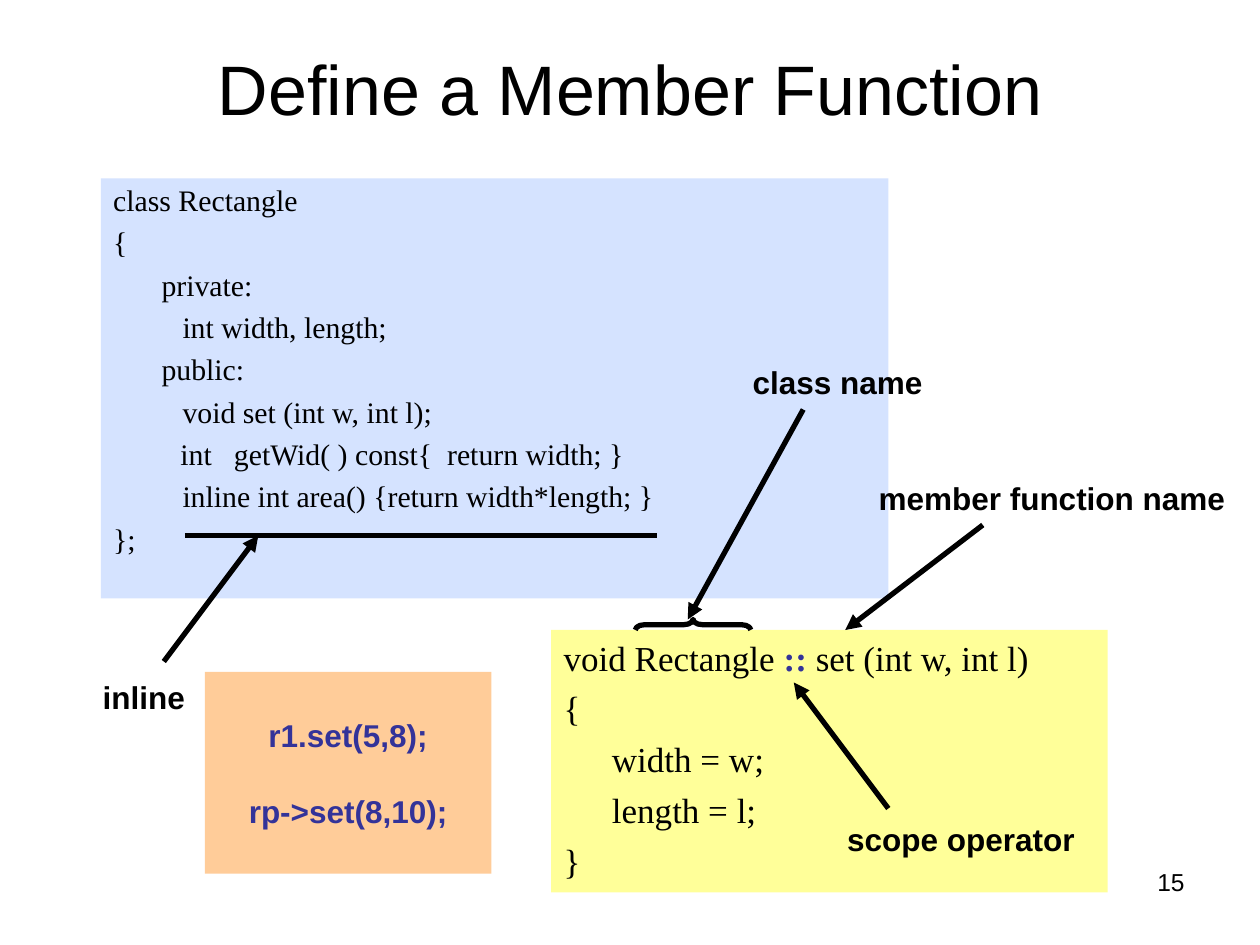
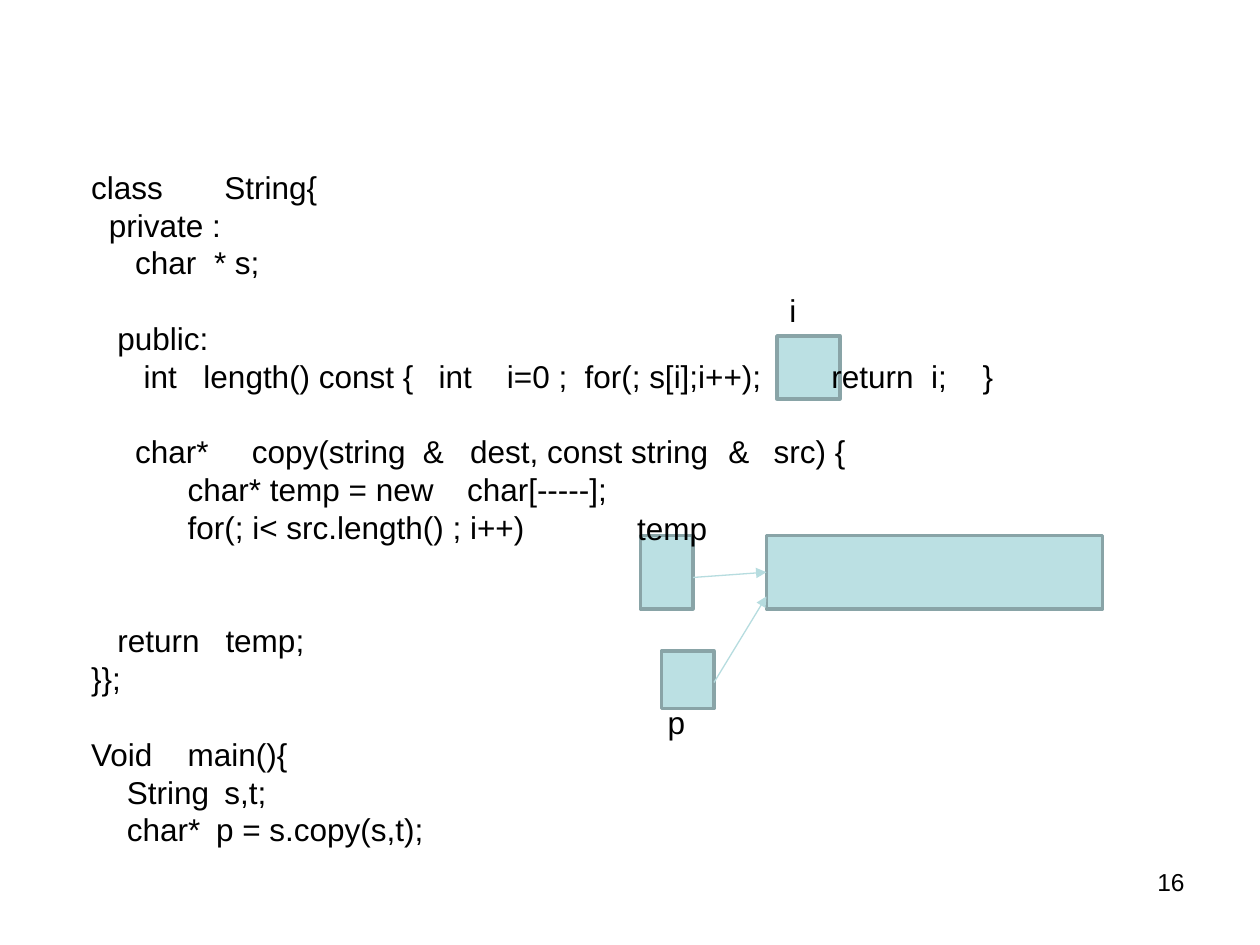
from pptx import Presentation
from pptx.dml.color import RGBColor
from pptx.enum.shapes import MSO_CONNECTOR as Connector, MSO_SHAPE as Shape
from pptx.enum.text import MSO_ANCHOR as Anchor, PP_ALIGN as Align
from pptx.oxml.ns import qn
from pptx.util import Inches, Pt
from lxml.etree import SubElement

# Shared look: a grid of 120 columns by 90 rows, colours and text formats
COLUMNS, ROWS = 120, 90
BLACK, INDIGO = "000000", "333399"
BLUE, YELLOW, ORANGE = "D5E3FF", "FFFF99", "FFCC99"
TEAL, TEAL_EDGE, TEAL_ARROW = "BBE0E3", "89A4A7", "B6DCDF"
color = RGBColor.from_string
LABEL = dict(name="Arial", size=Pt(18), bold=True)
PLAIN = dict(name="Arial", size=Pt(18), bold=False)
NUMBER = dict(name="Arial", size=Pt(14), bold=False)
TITLE = dict(name="Arial", size=Pt(40), bold=False)

presentation = Presentation()
presentation.slide_width, presentation.slide_height = Inches(10), Inches(7.5)
cell_width = presentation.slide_width / COLUMNS
cell_height = presentation.slide_height / ROWS


def grid(*cells):
    """Turn alternating columns and rows into lengths."""
    return [round(cell * (cell_height if index % 2 else cell_width))
            for index, cell in enumerate(cells)]


def write(shape, lines, font, ink=BLACK, align=Align.LEFT, spacing=None,
          before=0, anchor=Anchor.TOP):
    """Write lines of (text, tab stops in columns, blank lines above)."""
    frame = shape.text_frame
    frame.word_wrap = True
    frame.vertical_anchor = anchor
    line_height = spacing or Pt(font["size"].pt * 1.2)
    for index, (text, stops, blanks) in enumerate(lines):
        paragraph = frame.paragraphs[0] if index == 0 else frame.add_paragraph()
        formats = dict(alignment=align, line_spacing=line_height,
                       space_before=Pt(before + blanks * font["size"].pt * 1.2))
        for name, value in formats.items():
            setattr(paragraph, name, value)
        if stops:
            tabs = SubElement(paragraph._p.get_or_add_pPr(), qn("a:tabLst"))
            for stop in stops:
                SubElement(tabs, qn("a:tab"), pos=str(round(stop * cell_width)), algn="l")
        # The scope operator stands out from the code around it
        for part in filter(None, text.partition("::")):
            run = paragraph.add_run()
            run.text = part
            for name, value in font.items():
                setattr(run.font, name, value)
            run.font.color.rgb = color(ink)
            if part == "::":
                run.font.bold = True
                run.font.color.rgb = color(INDIGO)


# Code listings
class_code = [
    ("class Rectangle", [], 0),
    ("{", [], 0),
    ("\tprivate:", [4.6], 0),
    ("\tint width, length;", [6.6], 0),
    ("\tpublic:", [4.6], 0),
    ("\tvoid set (int w, int l);", [6.6], 0),
    ("\tint\tgetWid( ) const{\treturn width; }", [6.4, 11.5, 31.8], 0),
    ("\tinline int area() {return width*length; }", [6.6], 0),
    ("};", [], 0),
]
member_code = [
    ("void Rectangle :: set (int w, int l)", [], 0),
    ("{", [], 0),
    ("\twidth = w;", [4.6], 0),
    ("\tlength = l;", [4.6], 0),
    ("}", [], 0),
]
call_code = [("r1.set(5,8);", [], 0), ("rp->set(8,10);", [], 1)]
string_code = [
    ("class\tString{", [12.7], 0),
    ("\tprivate :", [1.7], 0),
    ("\tchar\t* s;", [4.2, 11.7], 0),
    ("\tpublic:", [2.5], 1),
    ("\tint\tlength() const {\tint\ti=0 ;\tfor(; s[i];i++);\treturn\ti;\t}",
     [5, 10.7, 33.1, 39.6, 47, 70.5, 80, 84.9], 0),
    ("\tchar*\tcopy(string\t&\tdest, const string\t&\tsrc) {",
     [4.2, 15.3, 31.6, 36.1, 60.7, 65], 1),
    ("\tchar* temp = new\tchar[-----];", [9.2, 35.8], 0),
    ("\tfor(; i< src.length() ; i++)", [9.2], 0),
    ("\treturn\ttemp;", [2.5, 12.8], 2),
    ("}};", [], 0),
    ("Void\tmain(){", [9.2], 1),
    ("\tString\ts,t;", [3.4, 12.7], 0),
    ("\tchar*\tp = s.copy(s,t);", [3.4, 11.9], 0),
]
code_font = dict(name="Times New Roman", bold=False)

# What each slide holds: boxes, lines (start, end, arrowhead) and labels
member_slide = dict(
    layout=5, number="15", label_font=LABEL, line=(BLACK, 3),
    boxes=[
        (BLUE, None, (9.6, 17, 75, 40), class_code,
         dict(font=dict(code_font, size=Pt(17)), spacing=0.94, before=5)),
        (YELLOW, None, (52.5, 60, 53, 25), member_code,
         dict(font=dict(code_font, size=Pt(20)), before=5)),
        (ORANGE, None, (19.5, 64, 27.3, 19.2), call_code,
         dict(font=LABEL, ink=INDIGO, align=Align.CENTER, anchor=Anchor.MIDDLE)),
    ],
    lines=[
        (15.6, 63, 24.6, 51, True),
        (17.6, 51, 62.6, 51, False),
        (76.5, 39, 65.5, 59, True),
        (93.6, 50, 80.5, 60, True),
        (84.6, 77, 75.6, 65, True),
    ],
    labels=[
        ("inline", 8.6, 64, 11),
        ("class name", 70.5, 34, 20),
        ("member function name", 82.5, 45, 37),
        ("scope operator", 79.5, 77.5, 26),
    ],
)
string_slide = dict(
    layout=6, number="16", label_font=PLAIN, line=(TEAL_ARROW, 0.75),
    boxes=[(TEAL, TEAL_EDGE, cells, [], {}) for cells in [
        (74, 32, 6, 6), (73, 51, 32, 7), (61, 51, 5, 7), (63, 62, 5, 5.5)]],
    lines=[(66, 55, 73, 54.5, True), (68, 65, 73, 56.8, True)],
    labels=[("i", 74, 27.1, 7), ("temp", 59.5, 47.9, 10), ("p", 62.4, 66.4, 8.4)],
)

slides = []
for content in (member_slide, string_slide):
    slide = presentation.slides.add_slide(presentation.slide_layouts[content["layout"]])
    slides.append(slide)

    # Slide number
    number = slide.shapes.add_textbox(*grid(86, 82, 28, 6.2))
    write(number, [(content["number"], [], 0)], NUMBER, align=Align.RIGHT, spacing=1.0)

    # Boxes
    for fill, edge, cells, code, formats in content["boxes"]:
        box = slide.shapes.add_shape(Shape.RECTANGLE, *grid(*cells))
        box.shadow.inherit = False
        box.fill.solid()
        box.fill.fore_color.rgb = color(fill)
        if edge:
            box.line.color.rgb = color(edge)
            box.line.width = Pt(2)
        else:
            box.line.fill.background()
        if code:
            write(box, code, **formats)

    # Lines and arrows
    line_color, line_width = content["line"]
    for *ends, arrow in content["lines"]:
        connector = slide.shapes.add_connector(Connector.STRAIGHT, *grid(*ends))
        connector.line.color.rgb = color(line_color)
        connector.line.width = Pt(line_width)
        properties = connector._element.spPr
        if arrow:
            SubElement(properties.find(qn("a:ln")), qn("a:tailEnd"), type="triangle")
        SubElement(properties, qn("a:effectLst"))

    # Labels
    for text, column, row, width in content["labels"]:
        label = slide.shapes.add_textbox(*grid(column, row, width, 4.8))
        write(label, [(text, [], 0)], content["label_font"])

# Title and the brace over the class name
first, second = slides
title = first.shapes.title
title.left, title.top, title.width, title.height = grid(6, 3.6, 108, 9.4)
write(title, [("Define a Member Function", [], 0)], TITLE, align=Align.CENTER,
      spacing=1.0, anchor=Anchor.MIDDLE)

brace = first.shapes.add_shape(Shape.LEFT_BRACE, *grid(65.5, 54, 1, 11))
brace.rotation = 90
brace.adjustments[0] = 0.9
brace.shadow.inherit = False
brace.fill.background()
brace.line.color.rgb = color(BLACK)
brace.line.width = Pt(3)

# Listing of the string class
listing = second.shapes.add_textbox(*grid(7.5, 15.4, 108, 73.2))
write(listing, string_code, PLAIN)

presentation.save("out.pptx")
